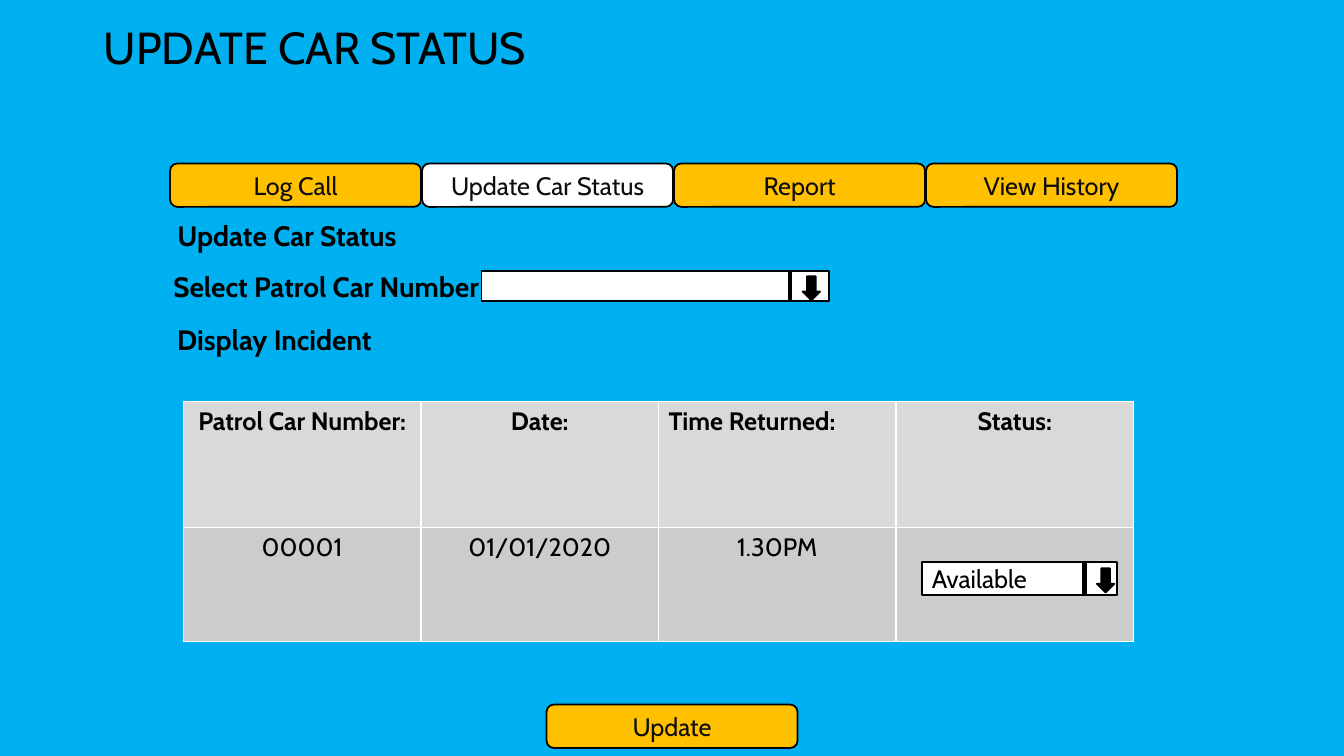
import pptx
import pptx.util
import pptx.dml.color
import pptx.enum.shapes
import pptx.enum.text
import pptx.oxml.ns
import lxml.etree

Pt = pptx.util.Pt
RGBColor = pptx.dml.color.RGBColor
SHAPE = pptx.enum.shapes.MSO_SHAPE
ALIGN = pptx.enum.text.PP_ALIGN
ANCHOR = pptx.enum.text.MSO_ANCHOR

BLACK = RGBColor(0x00, 0x00, 0x00)
WHITE = RGBColor(0xFF, 0xFF, 0xFF)
SKY = RGBColor(0x00, 0xB0, 0xF0)
AMBER = RGBColor(0xFF, 0xC0, 0x00)
INK = RGBColor(0x0D, 0x0D, 0x0D)
HEADER_GREY = RGBColor(0xD9, 0xD9, 0xD9)
ROW_GREY = RGBColor(0xCC, 0xCC, 0xCC)


def write(frame, text, size, bold=False, color=BLACK, align=ALIGN.CENTER):
    frame.text = text
    para = frame.paragraphs[0]
    para.alignment = align
    for span in para.runs:
        span.font.name = "Cabin"
        span.font.size = Pt(size)
        span.font.bold = bold
        span.font.color.rgb = color


def add_box(kind, left, top, width, height, fill):
    box = page.shapes.add_shape(kind, Pt(left), Pt(top), Pt(width), Pt(height))
    box.shadow.inherit = False
    box.fill.solid()
    box.fill.fore_color.rgb = fill
    box.line.color.rgb = BLACK
    box.line.width = Pt(1.25)
    box.text_frame.vertical_anchor = ANCHOR.MIDDLE
    return box


deck = pptx.Presentation()
deck.slide_width, deck.slide_height = Pt(960), Pt(540)
page = deck.slides.add_slide(deck.slide_layouts[5])
page.background.fill.solid()
page.background.fill.fore_color.rgb = SKY

# Title
title = page.shapes.title
title.left, title.top, title.width, title.height = Pt(67), Pt(15), Pt(816), Pt(126)
write(title.text_frame, "UPDATE CAR STATUS", 32, align=ALIGN.LEFT)
title.text_frame.vertical_anchor = ANCHOR.TOP
title.text_frame.paragraphs[0].line_spacing = 0.9

# Form labels
for text, left, top in [("Update Car Status", 70, 152.6),
                        ("Select Patrol Car Number", 98, 188.9),
                        ("Display Incident", 61, 226.8)]:
    label = page.shapes.add_textbox(Pt(left), Pt(top), Pt(270), Pt(31.5))
    label.text_frame.word_wrap = True
    write(label.text_frame, text, 20, bold=True)

# Incident table
rows = [["Patrol Car Number:", "Date:", "Time Returned:", "Status:"],
        ["00001", "01/01/2020", "1.30PM", ""]]
table = page.shapes.add_table(2, 4, Pt(131), Pt(286.6), Pt(678.8), Pt(171.4)).table
for row, height in zip(table.rows, (90, 81.4)):
    row.height = Pt(height)
for r, texts in enumerate(rows):
    for c, text in enumerate(texts):
        cell = table.cell(r, c)
        cell.fill.solid()
        cell.fill.fore_color.rgb = ROW_GREY if r else HEADER_GREY
        align = ALIGN.LEFT if text == "Time Returned:" else ALIGN.CENTER
        write(cell.text_frame, text, 18, bold=r == 0, align=align)

# Drop-down lists: field, divider and arrow
for text, left, top, width, height, divider, arrow_top in [
        ("", 344, 193.5, 248.4, 21.8, 564.5, 197.3),
        ("Available", 658.5, 401.3, 139.7, 23.8, 774.7, 406)]:
    field = add_box(SHAPE.RECTANGLE, left, top, width, height, WHITE)
    write(field.text_frame, text, 18, align=ALIGN.LEFT)
    line = page.shapes.add_connector(
        pptx.enum.shapes.MSO_CONNECTOR.STRAIGHT,
        Pt(divider), Pt(top + 1), Pt(divider), Pt(top + height))
    line.line.color.rgb = BLACK
    line.line.width = Pt(3)
    lxml.etree.SubElement(line.element.spPr, pptx.oxml.ns.qn("a:effectLst"))
    add_box(SHAPE.DOWN_ARROW, divider + 8.8, arrow_top, 12.5, 17.3, BLACK)

# Navigation tabs and the update button
tabs = ["Log Call", "Update Car Status", "Report", "View History"]
buttons = [(text, 121.5 + 180 * i, 116.8) for i, text in enumerate(tabs)]
buttons.append(("Update", 390.4, 503.3))
for text, left, top in buttons:
    fill = WHITE if text == "Update Car Status" else AMBER
    button = add_box(SHAPE.ROUNDED_RECTANGLE, left, top, 179.3, 31, fill)
    write(button.text_frame, text, 18, color=INK)

deck.save("out.pptx")
